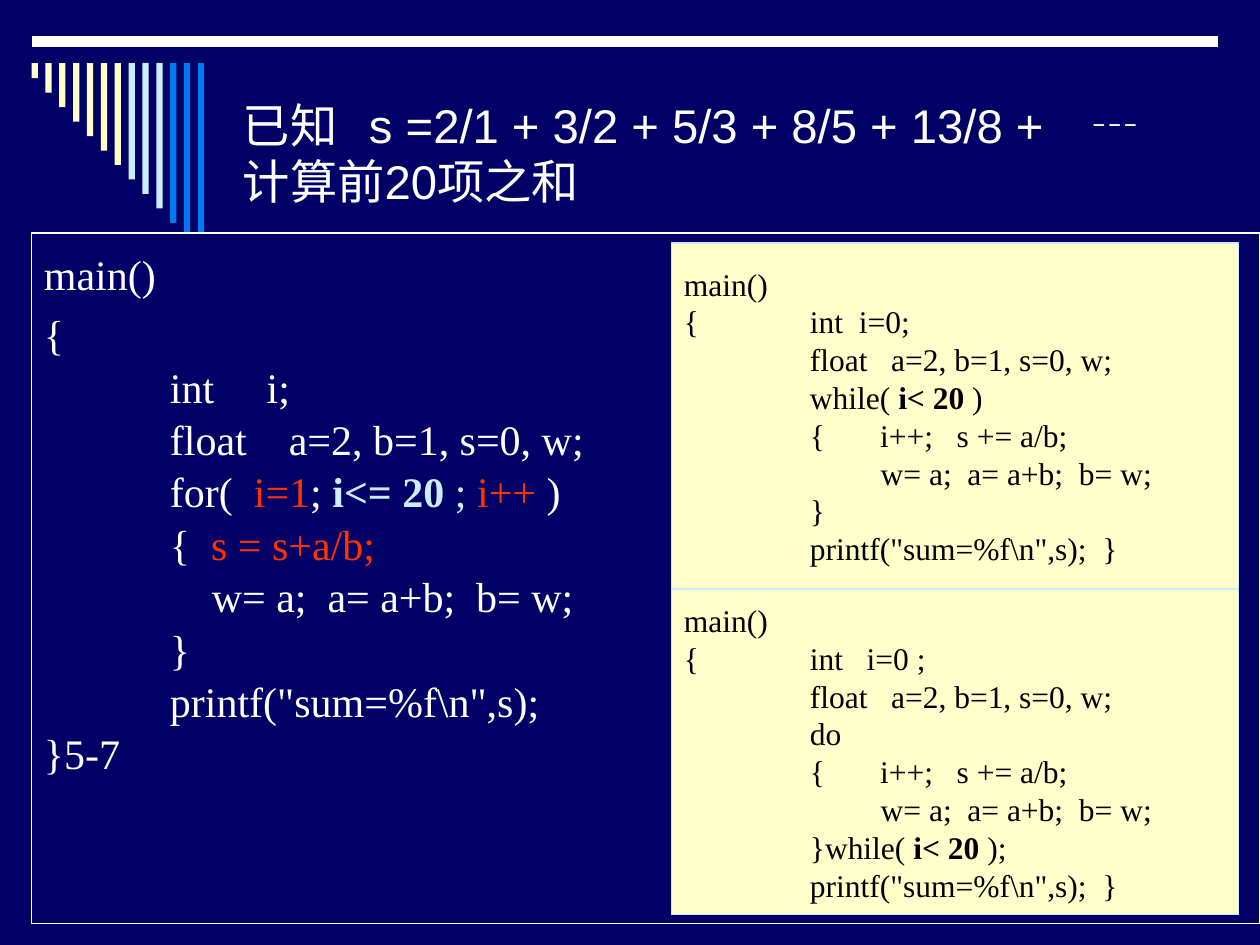
from dataclasses import dataclass
from lxml.etree import SubElement
from pptx import Presentation
from pptx.dml.color import RGBColor
from pptx.enum.shapes import MSO_CONNECTOR, MSO_SHAPE
from pptx.enum.text import MSO_ANCHOR, PP_ALIGN
from pptx.oxml.ns import qn
from pptx.util import Inches, Pt


@dataclass(frozen=True)
class Theme:
    navy: str = "000066"
    white: str = "FFFFFF"
    black: str = "000000"
    cream: str = "FFFFCC"
    ice: str = "CCECFF"
    blue: str = "0078F0"
    red: str = "FF3300"
    title_font: str = "Arial"
    code_font: str = "Times New Roman"
    title_size: float = 27
    code_size: float = 24
    small_size: float = 18


T = Theme()

TITLE = ["已知\ts =2/1 + 3/2 + 5/3 + 8/5 + 13/8 +　┄", "计算前20项之和"]
FOR_CODE = [
    "main()",
    "{",
    "\tint     i;",
    "\tfloat    a=2, b=1, s=0, w;",
    ["\tfor(  ", ("i=1", T.red, False), "; ", ("i<= 20", T.ice, True),
     (" ; ", T.ice, False), ("i++", T.red, False), " )"],
    ["\t{  ", ("s = s+a/b;", T.red, False)],
    "\t    w= a;  a= a+b;  b= w;",
    "\t}",
    '\tprintf("sum=%f\\n",s);',
    "}5-7",
]
FOR_SPACING = [1, 1.2] + [1.04] * 8
CONDITION = ("i< 20", T.black, True)
FLOAT = "\tfloat   a=2, b=1, s=0, w;"
BODY = ["\t{       i++;   s += a/b;", "\t         w= a;  a= a+b;  b= w;"]
PRINT = '\tprintf("sum=%f\\n",s);  }'
WHILE_CODE = ["main()", "{\tint  i=0;", FLOAT, ["\twhile( ", CONDITION, " )"],
              *BODY, "\t}", PRINT]
DO_CODE = ["main()", "{\tint   i=0 ;", FLOAT, "\tdo",
           *BODY, ["\t}while( ", CONDITION, " );"], PRINT]
LOOPS = [(1.93, 2.74, WHILE_CODE), (4.68, 2.58, DO_CODE)]
STRIPES = [T.cream] * 7 + [T.ice] * 3 + [T.blue] * 3


def rgb(value):
    return RGBColor.from_string(value)


def add_box(s, x, y, w, h, fill, line=None):
    sp = s.shapes.add_shape(MSO_SHAPE.RECTANGLE, Inches(x), Inches(y), Inches(w), Inches(h))
    sp.shadow.inherit = False
    sp.fill.solid()
    sp.fill.fore_color.rgb = rgb(fill)
    if line:
        sp.line.color.rgb = rgb(line)
        sp.line.width = Pt(0.75)
    else:
        sp.line.fill.background()
    return sp


def add_text(sp, lines, *, font, size, color, spacing, anchor=MSO_ANCHOR.MIDDLE, top=0.05):
    tf = sp.text_frame
    tf.word_wrap = True
    tf.vertical_anchor = anchor
    tf.margin_top = Inches(top)
    for i, (line, gap) in enumerate(zip(lines, spacing)):
        p = tf.paragraphs[0] if i == 0 else tf.add_paragraph()
        p.alignment = PP_ALIGN.LEFT
        p.line_spacing = float(gap)
        tabs = SubElement(p._p.get_or_add_pPr(), qn("a:tabLst"))
        for stop in range(8):
            SubElement(tabs, qn("a:tab"), pos=str(Inches(stop)), algn="l")
        for part in [line] if isinstance(line, str) else line:
            text, tint, bold = (part, color, False) if isinstance(part, str) else part
            r = p.add_run()
            r.text = text
            r.font.name = font
            r.font.size = Pt(size)
            r.font.bold = bold
            r.font.color.rgb = rgb(tint)


def main():
    prs = Presentation()
    prs.slide_width, prs.slide_height = Inches(10), Inches(7.5)
    s = prs.slides.add_slide(prs.slide_layouts[6])
    s.background.fill.solid()
    s.background.fill.fore_color.rgb = rgb(T.navy)

    rule = s.shapes.add_connector(MSO_CONNECTOR.STRAIGHT, Inches(0.25), Inches(0.33),
                                  Inches(9.67), Inches(0.33))
    rule.line.color.rgb = rgb(T.white)
    rule.line.width = Pt(6)
    SubElement(rule._element.spPr, qn("a:effectLst"))

    for i, color in enumerate(STRIPES):
        add_box(s, 0.25 + 0.11 * i, 0.5, 0.05, 0.12 * (1 + i) - 0.005 * i, color)

    title = s.shapes.add_textbox(Inches(1.83), Inches(0.5), Inches(7.67), Inches(1.42))
    add_text(title, TITLE, font=T.title_font, size=T.title_size, color=T.white,
             spacing=[1] * len(TITLE))

    panel = add_box(s, 0.25, 1.85, 9.75, 5.48, T.navy, T.white)
    add_text(panel, FOR_CODE, font=T.code_font, size=T.code_size, color=T.white,
             spacing=FOR_SPACING, anchor=MSO_ANCHOR.TOP, top=0.12)

    for y, h, code in LOOPS:
        card = add_box(s, 5.33, y, 4.5, h, T.cream, T.ice)
        add_text(card, code, font=T.code_font, size=T.small_size, color=T.black,
                 spacing=[1] * len(code))

    prs.save("out.pptx")


if __name__ == "__main__":
    main()
